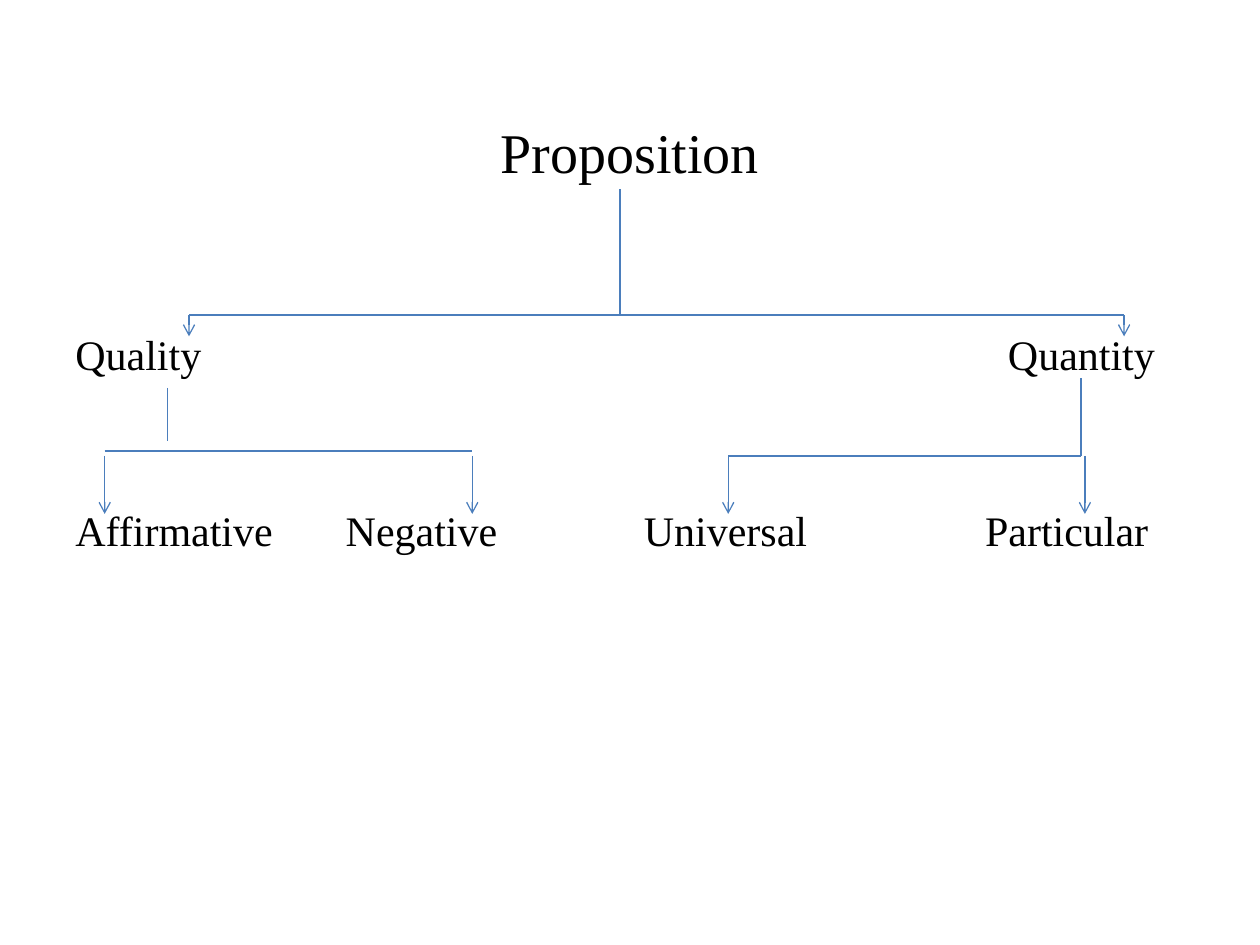
from pptx import Presentation
from pptx.dml.color import RGBColor
from pptx.enum.shapes import MSO_CONNECTOR
from pptx.enum.text import MSO_ANCHOR, MSO_AUTO_SIZE, PP_ALIGN
from pptx.oxml.ns import qn
from pptx.util import Cm, Pt
from lxml import etree

STRAIGHT = MSO_CONNECTOR.STRAIGHT
LEFT, CENTER = PP_ALIGN.LEFT, PP_ALIGN.CENTER
MIDDLE = MSO_ANCHOR.MIDDLE
NO_AUTOSIZE = MSO_AUTO_SIZE.NONE

THEME = {
    "font": "Times New Roman",
    "text": RGBColor(0, 0, 0),
    "line": RGBColor(0x4B, 0x7E, 0xBC),
    "line_width": Pt(0.75),
    "title_size": Pt(32),
    "term_size": Pt(24),
}

# All lengths are in centimetres.
TITLE = ("Proposition", (1.27, 2.39, 22.86, 1.3))
TERM_HEIGHT = 0.98
# Each level: top, then (term, left, width)
LEVELS = [
    (6.65, [("Quality", 1.52, 2.8), ("Quantity", 20.32, 3.2)]),
    (10.19, [
        ("Affirmative", 1.52, 4.2),
        ("Negative", 6.97, 3.4),
        ("Universal", 12.98, 3.6),
        ("Particular", 19.86, 3.6),
    ]),
]
# Each branch: stem (x, top, bottom), bar (left, right, y), arrows (xs, top, tip)
BRANCHES = [
    {"stem": (12.5, 3.81, 6.35), "bar": (3.81, 22.66, 6.35),
     "arrows": ((3.81, 22.66), 6.35, 6.78)},
    {"stem": (3.38, 7.82, 8.89), "bar": (2.11, 9.52, 9.09),
     "arrows": ((2.11, 9.52), 9.19, 10.36)},
    {"stem": (21.79, 7.62, 9.19), "bar": (14.68, 21.79, 9.19),
     "arrows": ((14.68, 21.87), 9.19, 10.36)},
]


def write_text(box, text, size, align=LEFT):
    frame = box.text_frame
    frame.word_wrap = True
    frame.auto_size = NO_AUTOSIZE
    frame.vertical_anchor = MIDDLE
    frame.margin_left = frame.margin_right = 0
    frame.margin_top = frame.margin_bottom = 0
    para = frame.paragraphs[0]
    para.alignment = align
    span = para.add_run()
    span.text = text
    span.font.name = THEME["font"]
    span.font.size = size
    span.font.color.rgb = THEME["text"]


def add_line(slide, start, end, arrow=False):
    line = slide.shapes.add_connector(
        STRAIGHT, *(Cm(value) for value in (*start, *end)))
    line.line.color.rgb = THEME["line"]
    line.line.width = THEME["line_width"]
    properties = line._element.spPr
    if arrow:
        outline = properties.find(qn("a:ln"))
        etree.SubElement(outline, qn("a:tailEnd"), type="arrow")
    etree.SubElement(properties, qn("a:effectLst"))


def add_branch(slide, stem, bar, arrows):
    x, top, bottom = stem
    add_line(slide, (x, top), (x, bottom))
    left, right, y = bar
    add_line(slide, (left, y), (right, y))
    positions, start, tip = arrows
    for position in positions:
        add_line(slide, (position, start), (position, tip), arrow=True)


def main():
    deck = Presentation()
    deck.slide_width, deck.slide_height = Cm(25.4), Cm(19.05)
    slide = deck.slides.add_slide(deck.slide_layouts.get_by_name("Title Only"))

    text, place = TITLE
    title = slide.shapes.title
    title.left, title.top, title.width, title.height = map(Cm, place)
    write_text(title, text, THEME["title_size"], align=CENTER)

    for top, terms in LEVELS:
        for term, left, width in terms:
            box = slide.shapes.add_textbox(
                Cm(left), Cm(top), Cm(width), Cm(TERM_HEIGHT))
            write_text(box, term, THEME["term_size"])

    for branch in BRANCHES:
        add_branch(slide, **branch)
    deck.save("out.pptx")


if __name__ == "__main__":
    main()
